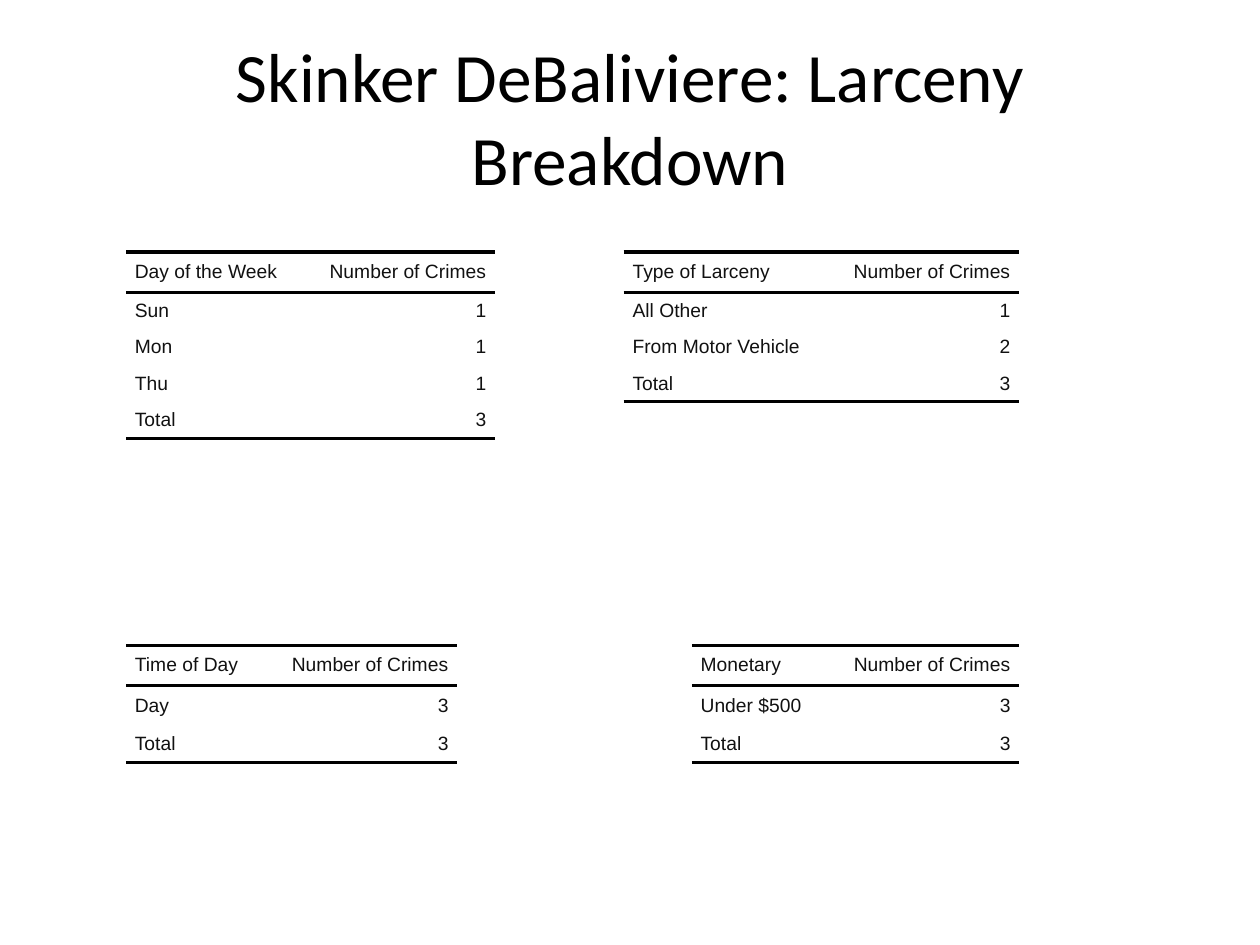
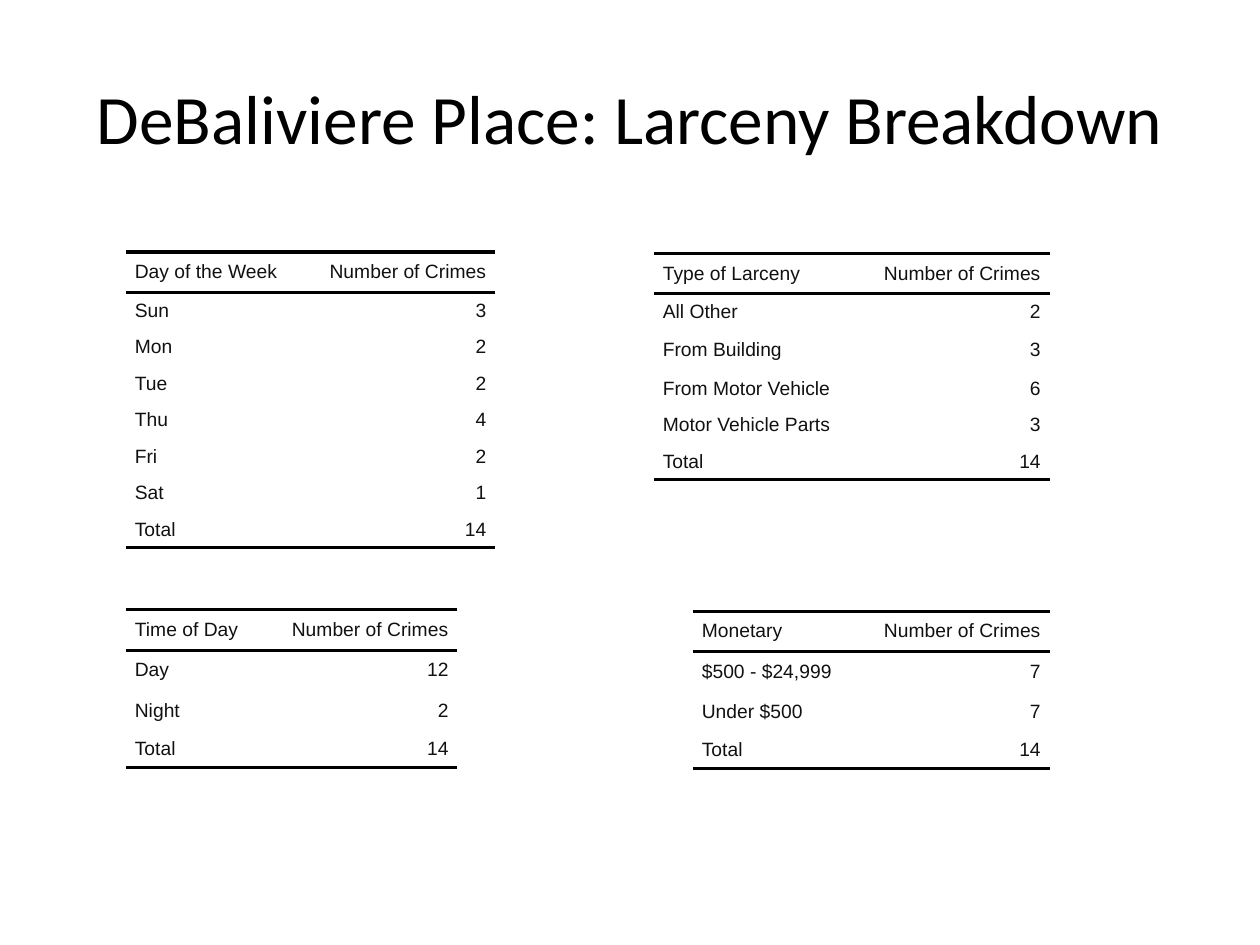
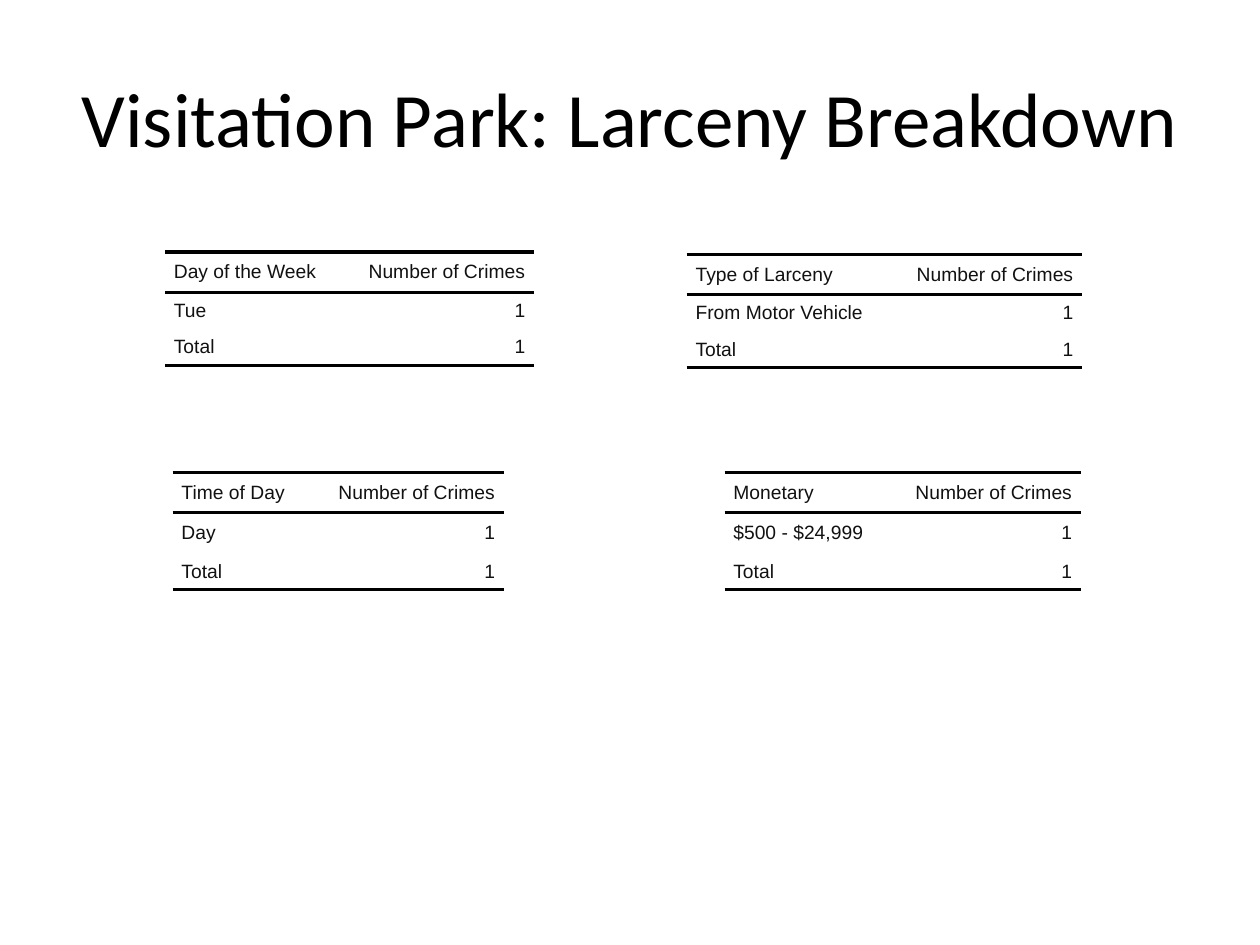
from typing import NamedTuple

from pptx import Presentation
from pptx.dml.color import RGBColor
from pptx.enum.text import MSO_ANCHOR, PP_ALIGN
from pptx.oxml.ns import qn
from pptx.util import Inches, Pt
from lxml.etree import SubElement

BLACK = RGBColor(0x00, 0x00, 0x00)
TEXT = RGBColor(0x11, 0x11, 0x11)
TITLE_FONT, TABLE_FONT = "Calibri", "Arial"
NO_STYLE = "{2D5ABB26-0587-4C30-8999-92F81FD0307C}"

COUNT_HEADER = "Number of Crimes"
COUNT_WIDTH = Inches(1.52)
CELL_INDENT = Inches(0.07)
RULE_WIDTH = Pt(2)
HEADER_HEIGHT = TALL_HEIGHT = Inches(0.32)
ROW_HEIGHT = Inches(0.29)
TALL_LABELS = {"Day", "Night", "Under $500", "$500 - $24,999", "From Building"}


class CrimeTable(NamedTuple):
    header: str
    left: float
    top: float
    label_width: float
    counts: dict[str, int]


class Neighborhood(NamedTuple):
    name: str
    title_size: float
    tables: list[CrimeTable]


def by_day(left: float, top: float, **counts: int) -> CrimeTable:
    return CrimeTable("Day of the Week", left, top, 1.41, counts)


def by_time(left: float, top: float, **counts: int) -> CrimeTable:
    return CrimeTable("Time of Day", left, top, 1.11, counts)


def by_type(left: float, top: float, counts: dict[str, int]) -> CrimeTable:
    return CrimeTable("Type of Larceny", left, top, 1.62, counts)


def by_value(left: float, top: float, counts: dict[str, int],
             label_width: float = 1.31) -> CrimeTable:
    return CrimeTable("Monetary", left, top, label_width, counts)


NEIGHBORHOODS = [
    Neighborhood("Skinker DeBaliviere", 39.6, [
        by_day(1, 2, Sun=1, Mon=1, Thu=1),
        by_time(1, 5.12, Day=3),
        by_type(4.95, 2, {"All Other": 1, "From Motor Vehicle": 2}),
        by_value(5.49, 5.12, {"Under $500": 3}, label_width=1.08),
    ]),
    Neighborhood("DeBaliviere Place", 39.6, [
        by_day(1, 2, Sun=3, Mon=2, Tue=2, Thu=4, Fri=2, Sat=1),
        by_time(1, 4.84, Day=12, Night=2),
        by_type(5.19, 2.01, {"All Other": 2, "From Building": 3,
                             "From Motor Vehicle": 6, "Motor Vehicle Parts": 3}),
        by_value(5.5, 4.85, {"$500 - $24,999": 7, "Under $500": 7}),
    ]),
    Neighborhood("Visitation Park", 44, [
        by_day(1.31, 2, Tue=1),
        by_time(1.37, 3.75, Day=1),
        by_type(5.45, 2.02, {"From Motor Vehicle": 1}),
        by_value(5.75, 3.75, {"$500 - $24,999": 1}),
    ]),
]


def add_title(slide, text: str, size: float) -> None:
    tf = slide.shapes.add_textbox(Inches(0.5), Inches(0.3), Inches(9), Inches(1.25)).text_frame
    tf.word_wrap = True
    tf.vertical_anchor = MSO_ANCHOR.MIDDLE
    p = tf.paragraphs[0]
    p.text = text
    p.alignment = PP_ALIGN.CENTER
    font = p.runs[0].font
    font.name, font.size, font.color.rgb = TITLE_FONT, Pt(size), BLACK


def set_borders(cell, ruled: set[str]) -> None:
    """Rule the given sides (lnT, lnB) and clear the others."""
    tc_pr = cell._tc.get_or_add_tcPr()
    for side in ("lnL", "lnR", "lnT", "lnB"):
        ln = SubElement(tc_pr, qn(f"a:{side}"))
        if side in ruled:
            ln.set("w", str(RULE_WIDTH))
            fill = SubElement(ln, qn("a:solidFill"))
            SubElement(fill, qn("a:srgbClr")).set("val", str(BLACK))
        else:
            SubElement(ln, qn("a:noFill"))


def fill_cell(cell, text: str, align: PP_ALIGN, ruled: set[str]) -> None:
    cell.margin_left = cell.margin_right = cell.margin_top = cell.margin_bottom = 0
    cell.vertical_anchor = MSO_ANCHOR.MIDDLE
    set_borders(cell, ruled)
    cell.fill.background()
    p = cell.text_frame.paragraphs[0]
    p.text = text
    p.alignment = align
    p.space_before = p.space_after = Pt(2)
    for margin in ("marL", "marR"):
        p._p.get_or_add_pPr().set(margin, str(CELL_INDENT))
    font = p.runs[0].font
    font.name, font.size, font.color.rgb = TABLE_FONT, Pt(11), TEXT


def add_crime_table(slide, crimes: CrimeTable) -> None:
    rows = [(crimes.header, COUNT_HEADER), *crimes.counts.items(),
            ("Total", sum(crimes.counts.values()))]
    heights = [HEADER_HEIGHT] + [TALL_HEIGHT if label in TALL_LABELS else ROW_HEIGHT
                                 for label, _ in rows[1:]]
    label_width = Inches(crimes.label_width)
    table = slide.shapes.add_table(len(rows), 2, Inches(crimes.left), Inches(crimes.top),
                                   label_width + COUNT_WIDTH, sum(heights)).table
    table.first_row = table.horz_banding = False
    table._tbl.tblPr.find(qn("a:tableStyleId")).text = NO_STYLE
    table.columns[0].width, table.columns[1].width = label_width, COUNT_WIDTH
    borders = {0: {"lnT", "lnB"}, 1: {"lnT"}, len(rows) - 1: {"lnB"}}
    for i, (label, count) in enumerate(rows):
        table.rows[i].height = heights[i]
        ruled = borders.get(i, set())
        fill_cell(table.cell(i, 0), label, PP_ALIGN.LEFT, ruled)
        fill_cell(table.cell(i, 1), str(count), PP_ALIGN.RIGHT, ruled)


def main() -> None:
    prs = Presentation()
    prs.slide_width, prs.slide_height = Inches(10), Inches(7.5)
    for area in NEIGHBORHOODS:
        slide = prs.slides.add_slide(prs.slide_layouts[6])
        add_title(slide, f"{area.name}: Larceny Breakdown", area.title_size)
        for crimes in area.tables:
            add_crime_table(slide, crimes)
    prs.save("out.pptx")


if __name__ == "__main__":
    main()
